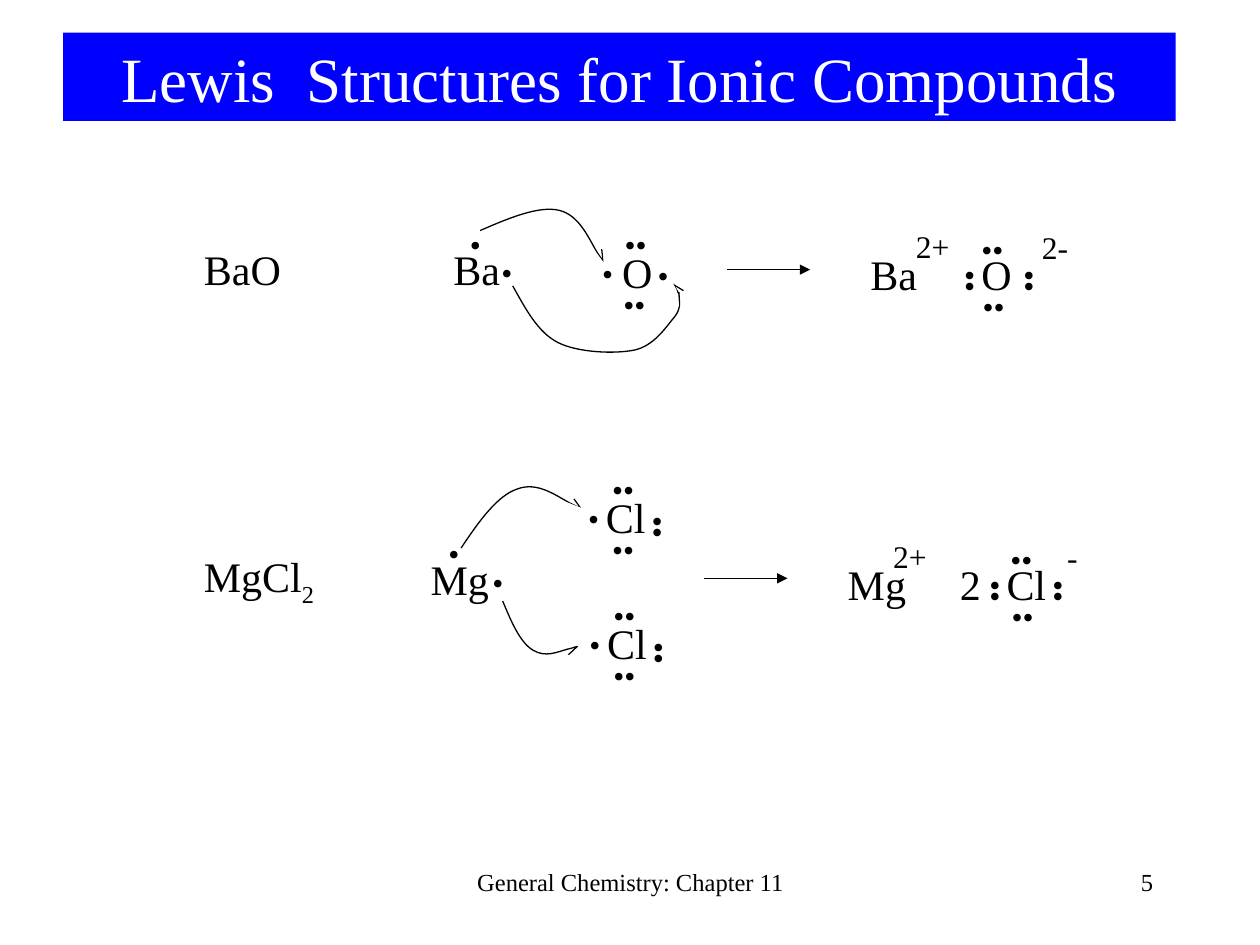
from lxml import etree
from pptx import Presentation
from pptx.dml.color import RGBColor
from pptx.enum.shapes import MSO_CONNECTOR, MSO_SHAPE
from pptx.enum.text import MSO_ANCHOR, PP_ALIGN
from pptx.oxml.ns import qn
from pptx.util import Inches, Pt

RECTANGLE = MSO_SHAPE.RECTANGLE
STRAIGHT = MSO_CONNECTOR.STRAIGHT
MIDDLE = MSO_ANCHOR.MIDDLE
LEFT, CENTER, RIGHT = PP_ALIGN.LEFT, PP_ALIGN.CENTER, PP_ALIGN.RIGHT
COLORS = {"ink": "000000", "paper": "FFFFFF", "banner": "0000FF"}
FONT = "Times New Roman"
DOT, PAIR = "•", "••"
WIDTHS = {DOT: 0.32, PAIR: 0.56}


def color(name):
    return RGBColor.from_string(COLORS[name])


def format_text(text_frame, size, ink="ink", alignment=LEFT):
    text_frame.word_wrap = True
    for paragraph in text_frame.paragraphs:
        paragraph.alignment = alignment
        for run in paragraph.runs:
            run.font.name = FONT
            run.font.size = Pt(size)
            run.font.color.rgb = color(ink)


def add_label(shapes, text, left, top, width, height, size, alignment=LEFT):
    box = shapes.add_textbox(Inches(left), Inches(top), Inches(width), Inches(height))
    box.text_frame.text = text
    format_text(box.text_frame, size, alignment=alignment)
    return box


def add_atom(shapes, symbol, left, top, marks=()):
    add_label(shapes, symbol, left, top, 0.77, 0.5, 24)
    for text, across, down, rotation in marks:
        mark = add_label(shapes, text, left + across, top + down,
                         WIDTHS.get(text, 0.51), 0.4, 18)
        mark.rotation = rotation


def add_ion_pair(shapes, left, top, metal, metal_charge, nonmetal, gap, charge, shift):
    add_atom(shapes, metal, left, top, [(metal_charge, 0.36, -0.17, 0)])
    add_atom(shapes, nonmetal, left + gap, top, [
        (PAIR, -0.29, 0.02, 270), (PAIR, 0.18 + shift, 0.02, 270),
        (PAIR, shift, -0.14, 0), (PAIR, 0.01 + shift, 0.31, 0), (charge, 0.48, -0.16, 0)])


def finish_line(line_shape, head):
    line_shape.line.color.rgb = color("ink")
    line_shape.line.width = Pt(0.74)
    line = line_shape.element.spPr.find(qn("a:ln"))
    etree.SubElement(line, qn("a:tailEnd"), type=head)


def add_reaction_arrow(shapes, left, top):
    arrow = shapes.add_connector(STRAIGHT, Inches(left), Inches(top),
                                 Inches(left + 0.66), Inches(top))
    finish_line(arrow, "triangle")
    etree.SubElement(arrow.element.spPr, qn("a:effectLst"))


def add_outline(shapes, left, top, points, close):
    corners = [(Inches(left + x), Inches(top + y)) for x, y in points]
    builder = shapes.build_freeform(*corners[0])
    builder.add_line_segments(corners[1:], close=close)
    outline = builder.convert_to_shape()
    outline.shadow.inherit = False
    return outline


def add_electron_curve(shapes, left, top, points):
    curve = add_outline(shapes, left, top, points, False)
    segments = list(curve.element.iter(qn("a:lnTo")))
    for start in range(0, len(segments), 3):
        bezier = etree.Element(qn("a:cubicBezTo"))
        segments[start].addprevious(bezier)
        for segment in segments[start:start + 3]:
            bezier.append(segment[0])
            segment.getparent().remove(segment)
    curve.fill.background()
    finish_line(curve, "arrow")


def add_mask(shapes, left, top, width, height, rotation):
    mask = shapes.add_shape(RECTANGLE, Inches(left), Inches(top),
                            Inches(width), Inches(height))
    mask.rotation = rotation
    mask.shadow.inherit = False
    mask.fill.solid()
    mask.fill.fore_color.rgb = color("paper")
    mask.line.color.rgb = color("paper")
    mask.line.width = Pt(0.74)


def add_barium_oxide(slide, left, top):
    shapes = slide.shapes
    add_label(shapes, "BaO", left, top + 0.38, 1.19, 0.5, 24)
    reactants = shapes.add_group_shape().shapes
    add_atom(reactants, "Ba", left + 1.98, top + 0.38,
             [(DOT, 0.13, -0.14, 0), (DOT, 0.38, 0.08, 0)])
    add_atom(reactants, "O", left + 3.32, top + 0.41,
             [(DOT, -0.16, 0.06, 0), (DOT, 0.28, 0.07, 0),
              (PAIR, 0.02, -0.17, 0), (PAIR, 0.01, 0.3, 0)])
    add_reaction_arrow(shapes, left + 4.25, top + 0.64)
    add_ion_pair(shapes.add_group_shape().shapes, left + 5.29, top + 0.42,
                 "Ba", "2+", "O", 0.88, "2-", 0)
    add_mask(shapes, left + 3.72, top + 0.73, 0.12, 0.14, 334.1)
    upper = shapes.add_group_shape().shapes
    add_electron_curve(upper, left, top, [
        (2.29, 0.33), (2.52, 0.23), (2.76, 0.13), (2.92, 0.17),
        (3.08, 0.21), (3.21, 0.51), (3.27, 0.58)])
    add_mask(upper, left + 3.02, top + 0.49, 0.23, 0.22, 323.3)
    lower = shapes.add_group_shape().shapes
    add_electron_curve(lower, left, top, [
        (2.55, 0.77), (2.65, 0.95), (2.75, 1.14), (2.91, 1.22),
        (3.07, 1.3), (3.36, 1.31), (3.51, 1.28),
        (3.67, 1.25), (3.77, 1.09), (3.83, 1.02),
        (3.89, 0.95), (3.87, 0.89), (3.87, 0.85),
        (3.87, 0.8), (3.83, 0.77), (3.82, 0.75)])
    cover = add_outline(lower, left, top, [
        (3.74, 0.99), (3.87, 0.93), (3.85, 0.8), (3.81, 0.73)], True)
    cover.fill.solid()
    cover.fill.fore_color.rgb = color("paper")
    cover.line.fill.background()


def add_magnesium_chloride(slide, left, top):
    shapes = slide.shapes
    formula = add_label(shapes, "MgCl", left, top + 0.82, 1.19, 0.56, 24)
    paragraph = formula.text_frame.paragraphs[0]
    subscript = paragraph.add_run()
    subscript.text = "2"
    format_text(formula.text_frame, 24)
    subscript.font._element.set("baseline", "-25000")
    reactants = shapes.add_group_shape().shapes
    add_atom(reactants, "Mg", left + 1.8, top + 0.84,
             [(DOT, 0.14, -0.15, 0), (DOT, 0.49, 0.08, 0)])
    for across, down in ((3.19, 0.35), (3.2, 1.35)):
        add_atom(reactants, "Cl", left + across, top + down,
                 [(DOT, -0.14, 0.06, 0), (PAIR, 0.21, 0.04, 270),
                  (PAIR, 0.05, -0.17, 0), (PAIR, 0.05, 0.31, 0)])
    upper = shapes.add_group_shape().shapes
    add_electron_curve(upper, left, top, [
        (2.14, 0.85), (2.28, 0.64), (2.43, 0.43), (2.59, 0.38),
        (2.75, 0.32), (3.01, 0.51), (3.1, 0.54)])
    add_mask(upper, left + 2.88, top + 0.51, 0.23, 0.22, 291)
    lower = shapes.add_group_shape().shapes
    add_electron_curve(lower, left, top, [
        (2.47, 1.27), (2.54, 1.44), (2.61, 1.6), (2.71, 1.66),
        (2.81, 1.72), (3.01, 1.64), (3.07, 1.63)])
    add_mask(lower, left + 2.88, top + 1.49, 0.16, 0.15, 349.2)
    add_reaction_arrow(shapes, left + 4.07, top + 1.09)
    products = shapes.add_group_shape().shapes
    add_ion_pair(products, left + 5.11, top + 0.88, "Mg", "2+", "Cl", 1.26, "-", 0.03)
    add_atom(products, "2", left + 6, top + 0.88)


def add_title(slide, left, top, width, height):
    title = slide.shapes.title
    title.left, title.top = Inches(left), Inches(top)
    title.width, title.height = Inches(width), Inches(height)
    title.fill.solid()
    title.fill.fore_color.rgb = color("banner")
    title.text_frame.text = "Lewis  Structures for Ionic Compounds"
    title.text_frame.vertical_anchor = MIDDLE
    format_text(title.text_frame, 36, "paper", CENTER)


def add_footer(slide, left, top):
    add_label(slide.shapes, "General Chemistry: Chapter 11", left, top, 3.17, 0.5, 14, CENTER)
    add_label(slide.shapes, "5", left + 3.75, top, 2.08, 0.5, 14, RIGHT)


presentation = Presentation()
presentation.slide_width, presentation.slide_height = Inches(10), Inches(7.5)
slide = presentation.slides.add_slide(presentation.slide_layouts[5])
add_title(slide, 0.5, 0.26, 8.83, 0.7)
add_barium_oxide(slide, 1.52, 1.5)
add_magnesium_chloride(slide, 1.52, 3.5)
add_footer(slide, 3.42, 6.83)
presentation.save("out.pptx")
